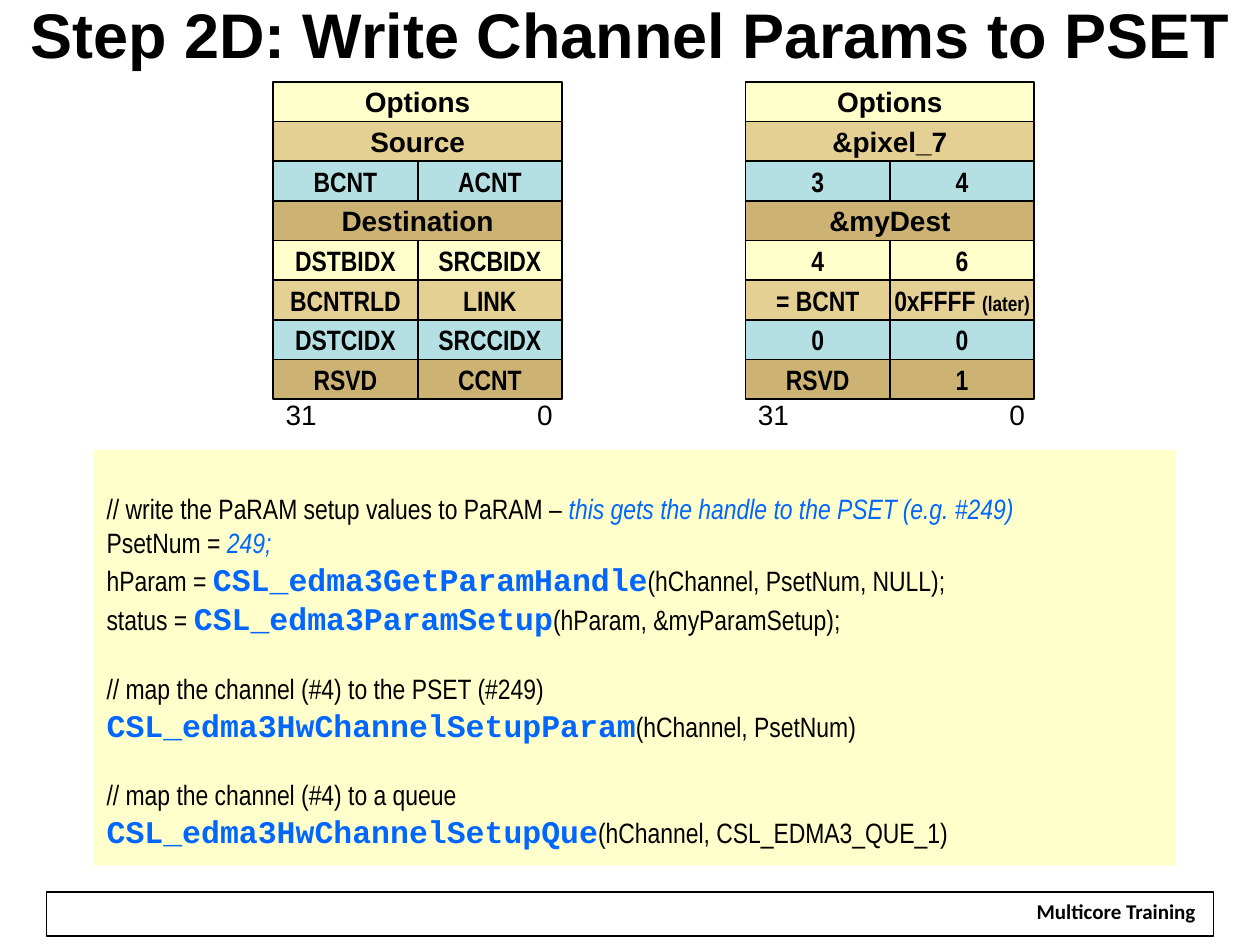
from lxml.etree import SubElement
from pptx import Presentation
from pptx.dml.color import RGBColor
from pptx.enum.shapes import MSO_SHAPE
from pptx.enum.text import MSO_ANCHOR, MSO_AUTO_SIZE, PP_ALIGN
from pptx.oxml.ns import qn
from pptx.util import Cm, Pt

BLACK = RGBColor(0x00, 0x00, 0x00)
WHITE = RGBColor(0xFF, 0xFF, 0xFF)
BLUE = RGBColor(0x00, 0x66, 0xFF)
CREAM = RGBColor(0xFF, 0xFF, 0xCC)
SAND = RGBColor(0xE5, 0xD0, 0x93)
AQUA = RGBColor(0xB5, 0xE0, 0xE3)
TAN = RGBColor(0xCC, 0xB3, 0x74)

ROW_COLORS = [CREAM, SAND, AQUA, TAN] * 2
ROW_HEIGHT = 0.8
SET_WIDTH = 5.82

FIELDS = [["Options"], ["Source"], ["BCNT", "ACNT"], ["Destination"],
          ["DSTBIDX", "SRCBIDX"], ["BCNTRLD", "LINK"],
          ["DSTCIDX", "SRCCIDX"], ["RSVD", "CCNT"]]
VALUES = [["Options"], ["&pixel_7"], ["3", "4"], ["&myDest"],
          ["4", "6"], ["= BCNT", "0xFFFF |(later)"],
          ["0", "0"], ["RSVD", "1"]]

PLAIN = dict(font="Arial Narrow", size=16)
NOTE = dict(PLAIN, color=BLUE, italic=True)
CALL = dict(font="Courier New", size=18, color=BLUE, bold=True)

# Each block is a list of lines, each line a list of (text, format) pieces.
CODE_BLOCKS = [
    [
        [("// write the PaRAM setup values to PaRAM – ", PLAIN),
         ("this gets the handle to the PSET (e.g. #249)", NOTE)],
        [("PsetNum =", PLAIN), (" 249;", NOTE)],
        [("hParam = ", PLAIN), ("CSL_edma3GetParamHandle", CALL),
         ("(hChannel, PsetNum, NULL);", PLAIN)],
        [("status = ", PLAIN), ("CSL_edma3ParamSetup", CALL),
         ("(hParam, &myParamSetup);", PLAIN)],
    ],
    [
        [("// map the channel (#4) to the PSET (#249)", PLAIN)],
        [("CSL_edma3HwChannelSetupParam", CALL), ("(hChannel, PsetNum)", PLAIN)],
    ],
    [
        [("// map the channel (#4) to a queue", PLAIN)],
        [("CSL_edma3HwChannelSetupQue", CALL),
         ("(hChannel, CSL_EDMA3_QUE_1)", PLAIN)],
    ],
]


def add_text(paragraph, text, font="Arial", size=16, color=BLACK, bold=False, italic=False):
    """Append a formatted run to the paragraph."""
    run = paragraph.add_run()
    run.text = text
    run.font.name = font
    run.font.size = Pt(size)
    run.font.color.rgb = color
    run.font.bold = bold
    run.font.italic = italic


def set_margins(frame, left=0.25, top=0.13, right=0.25, bottom=0.13):
    """Set the four insets of a text frame, in centimetres."""
    frame.margin_left, frame.margin_top = Cm(left), Cm(top)
    frame.margin_right, frame.margin_bottom = Cm(right), Cm(bottom)


def add_box(shapes, left, top, width, height, fill=None, line=None, line_width=0.75):
    """Add a plain rectangle with an optional fill and line."""
    shape = shapes.add_shape(
        MSO_SHAPE.RECTANGLE, Cm(left), Cm(top), Cm(width), Cm(height))
    shape.shadow.inherit = False
    if fill is None:
        shape.fill.background()
    else:
        shape.fill.solid()
        shape.fill.fore_color.rgb = fill
    if line is None:
        shape.line.fill.background()
    else:
        shape.line.color.rgb = line
        shape.line.width = Pt(line_width)
    return shape


def add_title(slide, text, left, top, width, height):
    """Place and format the title placeholder."""
    title = slide.shapes.title
    title.left, title.top = Cm(left), Cm(top)
    title.width, title.height = Cm(width), Cm(height)
    frame = title.text_frame
    frame.auto_size = MSO_AUTO_SIZE.NONE
    frame.vertical_anchor = MSO_ANCHOR.TOP
    set_margins(frame, 0.13, 0.13, 0.13, 0.13)
    paragraph = frame.paragraphs[0]
    paragraph.alignment = PP_ALIGN.CENTER
    paragraph.line_spacing = 0.75
    add_text(paragraph, text, size=36, bold=True)


def add_bit_labels(shapes, left, top):
    """Write the bit numbers 31 and 0 below a parameter set."""
    box = shapes.add_textbox(Cm(left), Cm(top), Cm(SET_WIDTH), Cm(ROW_HEIGHT))
    frame = box.text_frame
    frame.word_wrap = True
    frame.vertical_anchor = MSO_ANCHOR.MIDDLE
    set_margins(frame, top=0, right=0)
    paragraph = frame.paragraphs[0]
    tabs = SubElement(paragraph._p.get_or_add_pPr(), qn("a:tabLst"))
    SubElement(tabs, qn("a:tab"), pos=str(Cm(5.38)), algn="r")
    add_text(paragraph, "31\t0")


def add_parameter_set(slide, rows, left, top):
    """Add one parameter set as a group of register boxes, one or two to a row."""
    shapes = slide.shapes.add_group_shape().shapes
    for row, (entries, color) in enumerate(zip(rows, ROW_COLORS)):
        width = SET_WIDTH / len(entries)
        font = "Arial" if len(entries) == 1 else "Arial Narrow"
        for column, entry in enumerate(entries):
            box = add_box(shapes, left + column * width, top + row * ROW_HEIGHT,
                          width, ROW_HEIGHT, fill=color, line=BLACK, line_width=1)
            frame = box.text_frame
            frame.word_wrap = False
            frame.vertical_anchor = MSO_ANCHOR.MIDDLE
            paragraph = frame.paragraphs[0]
            paragraph.alignment = PP_ALIGN.CENTER
            for text, size in zip(entry.split("|"), (16, 12)):
                add_text(paragraph, text, font=font, size=size, bold=True)
    add_bit_labels(shapes, left, top + len(rows) * ROW_HEIGHT - 0.04)


def add_code_panel(slide, blocks, left, top, width, height):
    """Add the code listing, with a wider gap before each later block."""
    frame = add_box(slide.shapes, left, top, width, height, fill=CREAM).text_frame
    frame.word_wrap = True
    frame.vertical_anchor = MSO_ANCHOR.TOP
    set_margins(frame, top=1.07)
    paragraph = frame.paragraphs[0]
    for block_number, block in enumerate(blocks):
        for line_number, pieces in enumerate(block):
            if block_number or line_number:
                paragraph = frame.add_paragraph()
                has_call = any(style is CALL for _, style in pieces)
                gap = 9 if has_call else 8.4
                paragraph.space_before = Pt(gap if line_number else 27.5)
            paragraph.alignment = PP_ALIGN.LEFT
            paragraph.line_spacing = 0.6
            for text, style in pieces:
                add_text(paragraph, text, **style)


def add_footer(slide, text, left, top, width, height):
    """Add the outlined footer bar with its label near the right end."""
    add_box(slide.shapes, left, top, width, height, line=BLACK)
    label = add_box(slide.shapes, left + width - 3.84, top + 0.1, 3.76, 0.66, fill=WHITE)
    frame = label.text_frame
    frame.word_wrap = False
    frame.vertical_anchor = MSO_ANCHOR.MIDDLE
    paragraph = frame.paragraphs[0]
    paragraph.alignment = PP_ALIGN.CENTER
    paragraph.line_spacing = 0.8
    add_text(paragraph, text, font="Calibri", size=12, bold=True)


def main():
    """Build the slide and save it."""
    presentation = Presentation()
    presentation.slide_width, presentation.slide_height = Cm(25.4), Cm(19.05)
    slide = presentation.slides.add_slide(presentation.slide_layouts[5])
    add_footer(slide, "Multicore Training", 0.94, 17.98, 23.52, 0.89)
    add_title(slide, "Step 2D: Write Channel Params to PSET", 0, 0.14, 25.4, 1.7)
    add_code_panel(slide, CODE_BLOCKS, 1.9, 9.07, 21.8, 8.38)
    for rows, left in ((FIELDS, 5.51), (VALUES, 15.03)):
        add_parameter_set(slide, rows, left, 1.65)
    presentation.save("out.pptx")


main()
